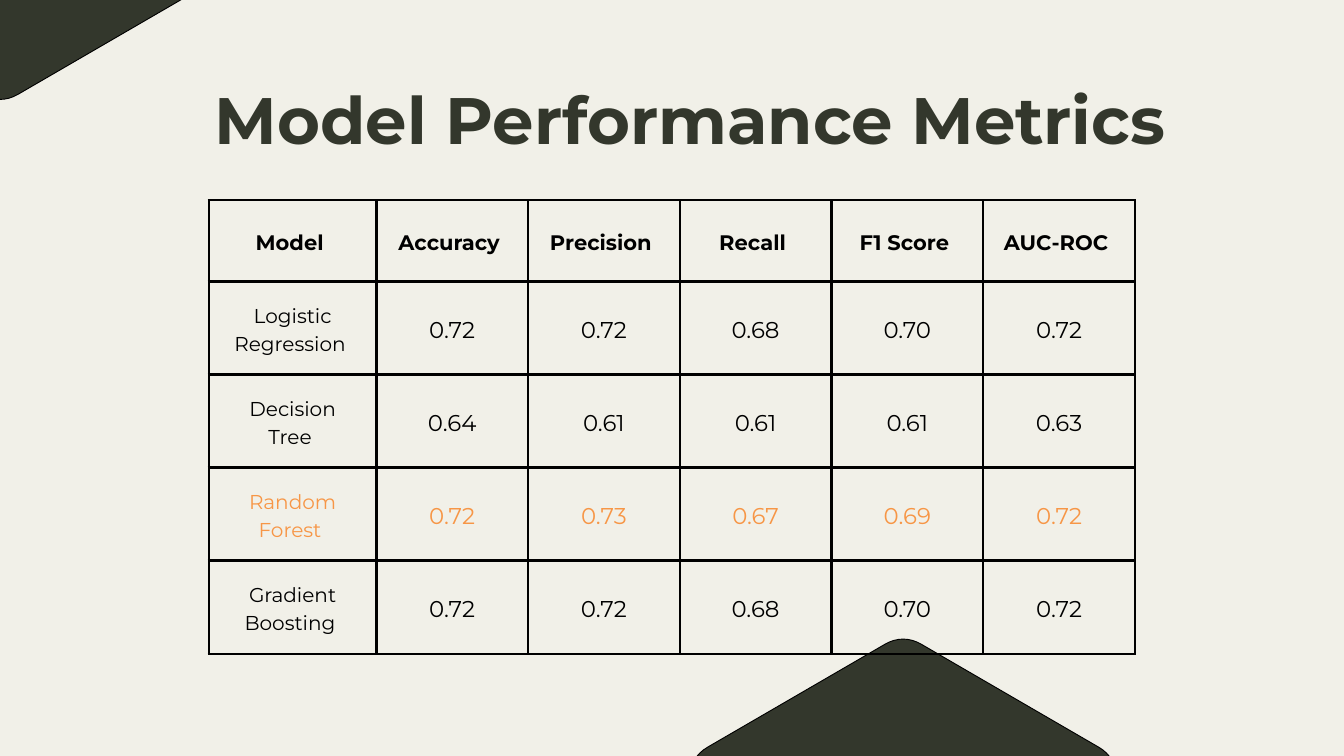
import math
from typing import NamedTuple

import pptx
import pptx.dml.color
import pptx.enum.text
import pptx.oxml
import pptx.oxml.ns
import pptx.util

PX = 9144  # EMU per px: 100 px to the inch
FONT = "Montserrat"
NO_BREAK_SPACE = chr(160)
CREAM = pptx.dml.color.RGBColor(0xF1, 0xF0, 0xE8)
OLIVE = pptx.dml.color.RGBColor(0x33, 0x37, 0x2C)
BLACK = pptx.dml.color.RGBColor(0x00, 0x00, 0x00)
ORANGE = pptx.dml.color.RGBColor(0xF7, 0x96, 0x46)

HEXAGON_RADIUS_X = 367
HEXAGON_RADIUS_Y = 369
CORNER_CUT = 31
CORNER_HANDLE = 11
CELL_MARGIN = 21
TABLE_WIDTH, TABLE_HEIGHT = 1378, 675
MODEL_WIDTH, HEADING_HEIGHT = 249, 121
HEADINGS = ["Model", "Accuracy", "Precision", "Recall", "F1 Score", "AUC-ROC"]


class Hexagon(NamedTuple):
    center_x: int
    center_y: int


class ModelScores(NamedTuple):
    model: str
    scores: list[str]
    color: pptx.dml.color.RGBColor = BLACK


HEXAGONS = [Hexagon(1344, 1312), Hexagon(0, -213)]
RESULTS = [
    ModelScores("Logistic Regression", ["0.72", "0.72", "0.68", "0.70", "0.72"]),
    ModelScores("Decision Tree", ["0.64", "0.61", "0.61", "0.61", "0.63"]),
    ModelScores("Random Forest", ["0.72", "0.73", "0.67", "0.69", "0.72"], ORANGE),
    ModelScores("Gradient Boosting", ["0.72", "0.72", "0.68", "0.70", "0.72"]),
]


def write_text(frame, text: str, *, size: float, leading: float,
               color=BLACK, bold: bool = False) -> None:
    frame.word_wrap = True
    paragraph = frame.paragraphs[0]
    paragraph.alignment = pptx.enum.text.PP_ALIGN.CENTER
    paragraph.line_spacing = pptx.util.Pt(leading)
    run = paragraph.add_run()
    run.text = text
    run.font.name = FONT
    run.font.size = pptx.util.Pt(size)
    run.font.bold = bold
    run.font.color.rgb = color


def rounded_hexagon_points(hexagon: Hexagon) -> list[tuple[float, float]]:
    """Four points in EMU per corner: curve start, two handles, curve end."""
    vertices = [
        (hexagon.center_x + HEXAGON_RADIUS_X * math.sin(math.radians(angle)),
         hexagon.center_y - HEXAGON_RADIUS_Y * math.cos(math.radians(angle)))
        for angle in range(0, 360, 60)
    ]

    def toward(start, end, distance):
        share = distance / math.dist(start, end)
        return tuple((a + (b - a) * share) * PX for a, b in zip(start, end))

    points = []
    for index, corner in enumerate(vertices):
        before, after = vertices[index - 1], vertices[(index + 1) % 6]
        points += [toward(corner, before, CORNER_CUT),
                   toward(corner, before, CORNER_HANDLE),
                   toward(corner, after, CORNER_HANDLE),
                   toward(corner, after, CORNER_CUT)]
    return points


def curve_corners(shape) -> None:
    """Turn the three segments at each corner into one cubic curve."""
    segments = list(shape._element.iter(pptx.oxml.ns.qn("a:lnTo")))
    for start in range(0, len(segments), 4):
        corner = segments[start:start + 3]
        curve = pptx.oxml.parse_xml(
            f'<a:cubicBezTo {pptx.oxml.ns.nsdecls("a")}/>')
        corner[0].addprevious(curve)
        for segment in corner:
            curve.append(segment[0])
            segment.getparent().remove(segment)


def draw_hexagon(shapes, hexagon: Hexagon) -> None:
    points = rounded_hexagon_points(hexagon)
    builder = shapes.build_freeform(*points[0], scale=1.0)
    builder.add_line_segments(points[1:], close=True)
    shape = builder.convert_to_shape()
    curve_corners(shape)
    shape.shadow.inherit = False
    shape.fill.solid()
    shape.fill.fore_color.rgb = OLIVE
    shape.line.color.rgb = BLACK
    shape.line.width = pptx.util.Pt(1)


def set_borders(cell, color, width: float) -> None:
    properties = cell._tc.get_or_add_tcPr()
    for position, side in enumerate(("lnL", "lnR", "lnT", "lnB")):
        properties.insert(position, pptx.oxml.parse_xml(
            f'<a:{side} {pptx.oxml.ns.nsdecls("a")} w="{pptx.util.Pt(width)}">'
            f'<a:solidFill><a:srgbClr val="{color}"/></a:solidFill></a:{side}>'))


def fill_cell(cell, text: str, **text_format) -> None:
    cell.fill.background()
    cell.vertical_anchor = pptx.enum.text.MSO_ANCHOR.MIDDLE
    cell.margin_left = cell.margin_right = CELL_MARGIN * PX
    cell.margin_top = cell.margin_bottom = CELL_MARGIN * PX
    write_text(cell.text_frame, text, **text_format)
    set_borders(cell, BLACK, 3)


def share_out(total: int, first: int, others: int) -> list[int]:
    """Lengths in EMU: the first as given, the rest of the total split evenly."""
    return [first * PX] + [(total - first) * PX // others] * others


def draw_metrics_table(shapes) -> None:
    table = shapes.add_table(
        len(RESULTS) + 1, len(HEADINGS), 311 * PX, 298 * PX,
        TABLE_WIDTH * PX, TABLE_HEIGHT * PX).table
    table.first_row = table.horz_banding = False
    widths = share_out(TABLE_WIDTH, MODEL_WIDTH, len(HEADINGS) - 1)
    for column, width in zip(table.columns, widths):
        column.width = width
    heights = share_out(TABLE_HEIGHT, HEADING_HEIGHT, len(RESULTS))
    for row, height in zip(table.rows, heights):
        row.height = height

    for column, heading in enumerate(HEADINGS):
        fill_cell(table.cell(0, column), heading + NO_BREAK_SPACE,
                  size=22.5, leading=32.2, bold=True)
    for row, result in enumerate(RESULTS, start=1):
        fill_cell(table.cell(row, 0), result.model + NO_BREAK_SPACE,
                  size=21.5, leading=30.8, color=result.color)
        for column, score in enumerate(result.scores, start=1):
            fill_cell(table.cell(row, column), score,
                      size=24.5, leading=35, color=result.color)


def draw_title(shapes) -> None:
    title = shapes.add_textbox(318 * PX, 98 * PX, 1418 * PX, 132 * PX)
    frame = title.text_frame
    frame.margin_left = frame.margin_right = 0
    frame.margin_top = frame.margin_bottom = 0
    write_text(frame, "Model Performance Metrics",
               size=70.3, leading=98.4, color=OLIVE, bold=True)


def main() -> None:
    presentation = pptx.Presentation()
    presentation.slide_width = 2000 * PX
    presentation.slide_height = 1125 * PX
    slide = presentation.slides.add_slide(presentation.slide_layouts[6])
    slide.background.fill.solid()
    slide.background.fill.fore_color.rgb = CREAM
    for hexagon in HEXAGONS:
        draw_hexagon(slide.shapes, hexagon)
    draw_metrics_table(slide.shapes)
    draw_title(slide.shapes)
    presentation.save("out.pptx")


if __name__ == "__main__":
    main()
